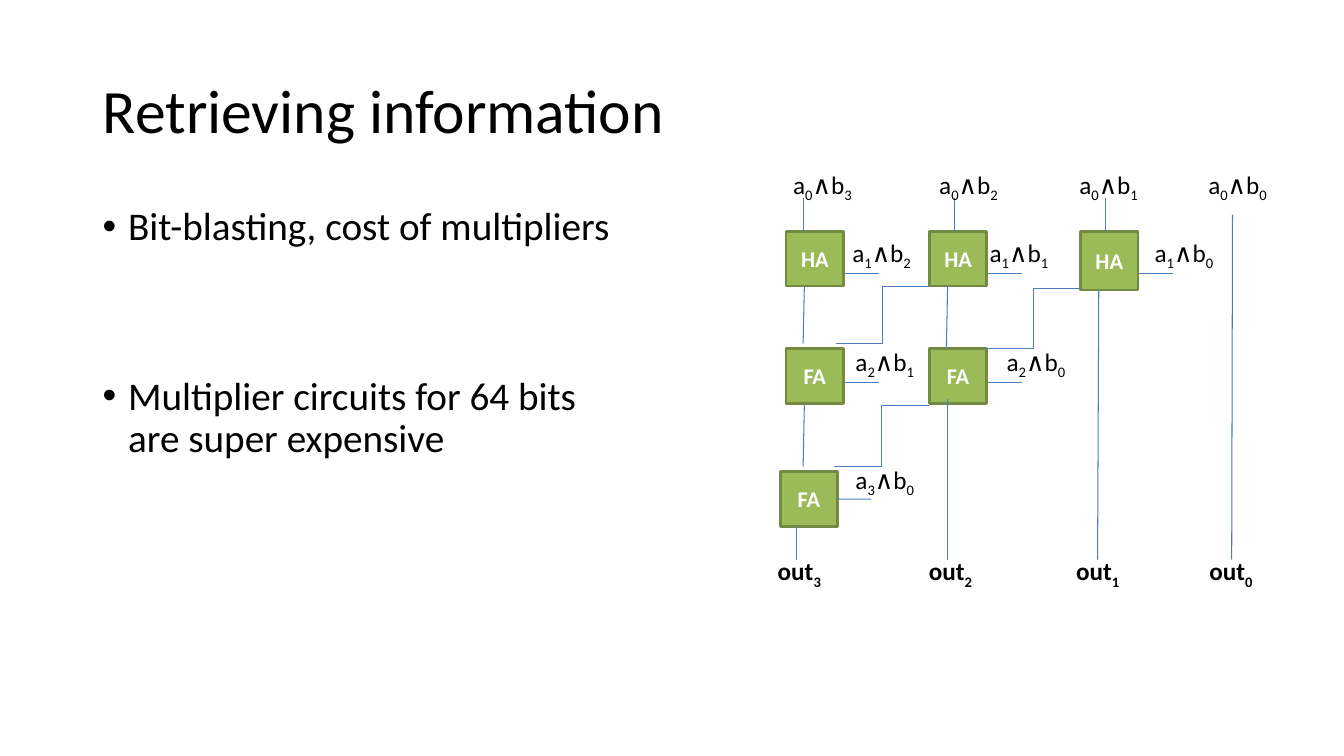
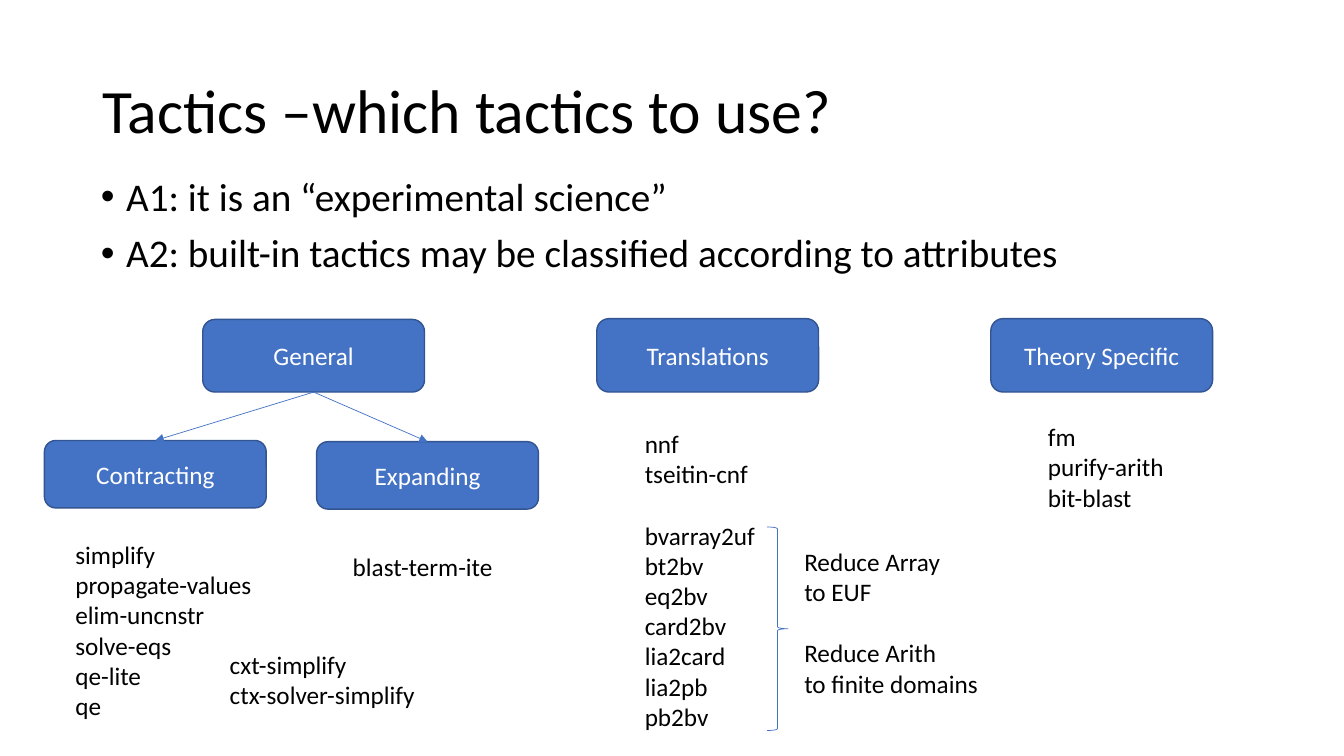
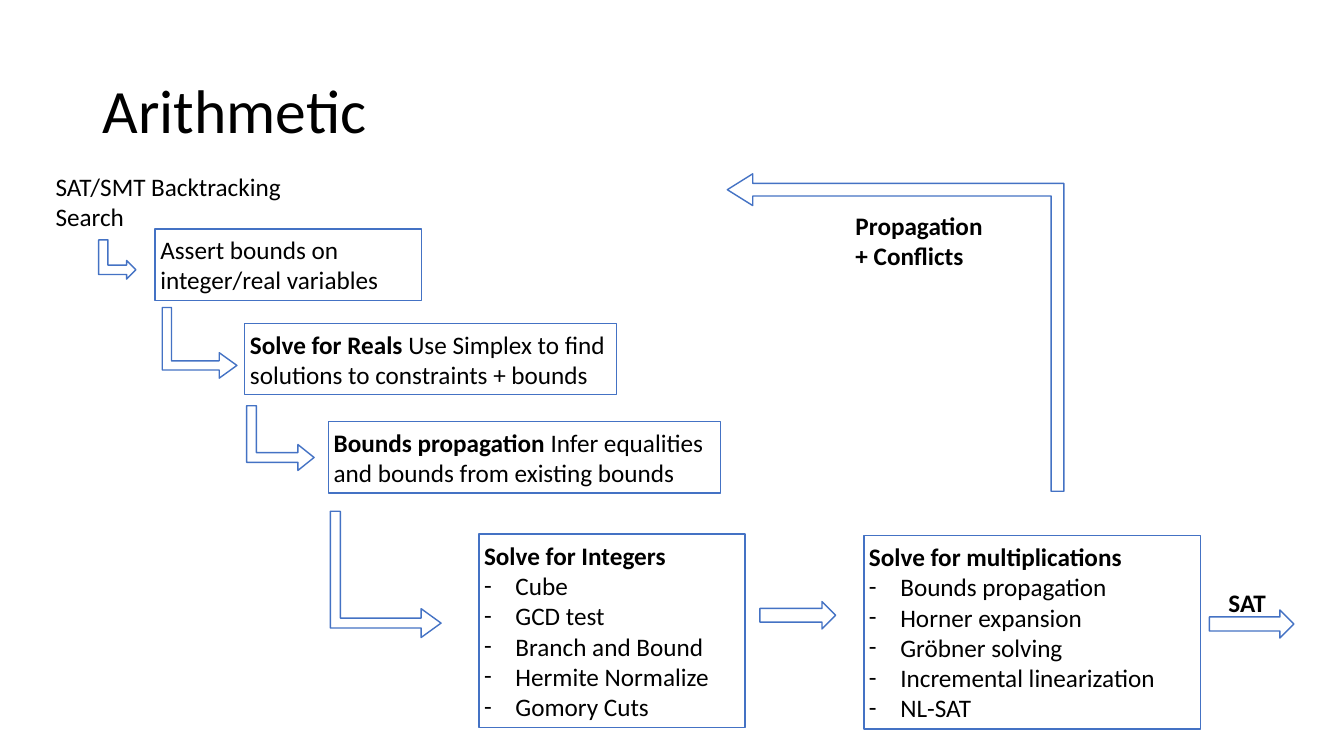
from dataclasses import dataclass
from typing import NamedTuple

from lxml.etree import SubElement
from pptx import Presentation
from pptx.dml.color import RGBColor as Rgb
from pptx.enum.shapes import MSO_CONNECTOR as Link
from pptx.enum.shapes import MSO_SHAPE as Preset
from pptx.enum.text import MSO_ANCHOR as Anchor
from pptx.enum.text import MSO_AUTO_SIZE as AutoSize
from pptx.enum.text import PP_ALIGN as Align
from pptx.oxml.ns import qn
from pptx.util import Cm, Pt


@dataclass(frozen=True)
class Theme:
    font: str = "Calibri"
    bullet_font: str = "Arial"
    black: str = "000000"
    white: str = "FFFFFF"
    blue: str = "4472C4"
    dark_blue: str = "325491"
    green: str = "9BBB59"
    dark_green: str = "738A42"
    wire: str = "4B7EBC"
    title_size: float = 44
    body_size: float = 28
    text_size: float = 18
    cell_size: float = 16
    body_spacing: float = 0.9


THEME = Theme()


class Area(NamedTuple):
    left: float
    top: float
    width: float
    height: float

    def lengths(self) -> tuple:
        return tuple(Cm(value) for value in self)


class Point(NamedTuple):
    x: float
    y: float


class Span(NamedTuple):
    text: str
    bold: bool = False
    lowered: bool = False


@dataclass(frozen=True)
class Line:
    spans: tuple
    bullet: str = ""
    indent: float = 0
    before: float = 0


@dataclass(frozen=True)
class Style:
    size: float = THEME.text_size
    color: str = THEME.black
    align: Align = Align.LEFT
    anchor: Anchor = Anchor.TOP
    spacing: float = 1
    inset: float = 0.25
    wrap: bool = True
    grow: bool = False


@dataclass(frozen=True)
class Look:
    fill: str
    line: str
    weight: float


@dataclass(frozen=True)
class Arrow:
    area: Area
    preset: Preset = Preset.BENT_UP_ARROW
    turn: float = 90
    bends: tuple = ()


TITLE = Style(THEME.title_size, anchor=Anchor.MIDDLE, spacing=THEME.body_spacing)
BODY = Style(THEME.body_size, spacing=THEME.body_spacing)
NOTE = Style(grow=True)
LABEL = Style(grow=True, wrap=False)
CAPTION = Style(grow=True, wrap=False, inset=0.13)
STEP = Style(anchor=Anchor.MIDDLE, inset=0.13)
NODE = Style(color=THEME.white, align=Align.CENTER, anchor=Anchor.MIDDLE)
CELL = Style(THEME.cell_size, THEME.white, Align.CENTER, Anchor.MIDDLE)
GREEN_CELL = Look(THEME.green, THEME.dark_green, 2)
BLUE_NODE = Look(THEME.blue, THEME.dark_blue, 1)
OUTLINE = Look(THEME.white, THEME.blue, 1)
BRACE = Look("", THEME.blue, 0.5)


def plain(*texts: str, bold: bool = False) -> list:
    return [Line((Span(text, bold),)) for text in texts]


def bullet(text: str, before: float = 0) -> Line:
    return Line((Span(text),), "•", 0.64, before)


def dash(text: str) -> Line:
    return Line((Span(text),), "-", 0.79)


def write(box, lines: list, style: Style) -> None:
    frame = box.text_frame
    frame.word_wrap = style.wrap
    frame.auto_size = AutoSize.SHAPE_TO_FIT_TEXT if style.grow else AutoSize.NONE
    frame.vertical_anchor = style.anchor
    frame.margin_left = frame.margin_right = Cm(style.inset)
    frame.margin_top = frame.margin_bottom = Cm(0.13)
    for index, line in enumerate(lines):
        para = frame.add_paragraph() if index else frame.paragraphs[0]
        para.alignment = style.align
        if line.bullet:
            properties = para._p.get_or_add_pPr()
            properties.set("marL", str(Cm(line.indent)))
            properties.set("indent", str(-Cm(line.indent)))
            face = THEME.bullet_font if line.bullet == "•" else THEME.font
            SubElement(properties, qn("a:buFont")).set("typeface", face)
            SubElement(properties, qn("a:buChar")).set("char", line.bullet)
        para.line_spacing = style.spacing
        if line.before:
            para.space_before = Pt(line.before)
        para.text = line.spans[0].text
        for span in line.spans[1:]:
            para.add_run().text = span.text
        if len(line.spans) == 1:
            pairs = [(run, line.spans[0]) for run in para.runs]
        else:
            pairs = zip(para.runs, line.spans)
        for run, span in pairs:
            run.font.name = THEME.font
            run.font.size = Pt(style.size)
            run.font.bold = span.bold
            run.font.color.rgb = Rgb.from_string(style.color)
            if span.lowered:
                run._r.get_or_add_rPr().set("baseline", "-25000")


def add_text(page, area: Area, lines: list, style: Style) -> None:
    write(page.shapes.add_textbox(*area.lengths()), lines, style)


def add_figure(page, preset: Preset, area: Area, look: Look):
    shape = page.shapes.add_shape(preset, *area.lengths())
    shape.shadow.inherit = False
    if look.fill:
        shape.fill.solid()
        shape.fill.fore_color.rgb = Rgb.from_string(look.fill)
    else:
        shape.fill.background()
    shape.line.color.rgb = Rgb.from_string(look.line)
    shape.line.width = Pt(look.weight)
    return shape


def add_wire(page, start: Point, end: Point, kind: Link = Link.STRAIGHT,
             color: str = THEME.wire, weight: float = 0.75):
    wire = page.shapes.add_connector(kind, *(Cm(value) for value in start + end))
    wire.line.color.rgb = Rgb.from_string(color)
    wire.line.width = Pt(weight)
    SubElement(wire._element.spPr, qn("a:effectLst"))
    return wire


def add_page(deck, title: str):
    page = deck.slides.add_slide(deck.slide_layouts[6])
    add_text(page, Area(2.34, 1.02, 29.21, 3.68), plain(title), TITLE)
    return page


def product(first: int, second: int) -> list:
    return [Line((Span("a"), Span(str(first), lowered=True),
                  Span("∧b"), Span(str(second), lowered=True)))]


def build_multiplier(deck) -> None:
    page = add_page(deck, "Retrieving information")
    add_text(page, Area(2.34, 5.08, 29.21, 12.09), [
        bullet("Bit-blasting, cost of multipliers"),
        bullet("Multiplier circuits for 64 bits \vare super expensive", 91),
    ], BODY)

    half_top, full_top, last_top, out_top = 5.84, 8.79, 11.89, 14.1
    for name, left, top, height in (
        ("HA", 19.81, half_top, 1.37), ("HA", 23.42, half_top, 1.37),
        ("HA", 27.23, half_top, 1.47), ("FA", 19.81, full_top, 1.37),
        ("FA", 23.42, full_top, 1.37), ("FA", 19.66, last_top, 1.37),
    ):
        cell = add_figure(page, Preset.RECTANGLE, Area(left, top, 1.45, height), GREEN_CELL)
        write(cell, plain(name, bold=True), CELL)
    last_cell = cell

    for x in (20.24, 24.05, 27.86):
        add_wire(page, Point(x, 4.98), Point(x, half_top))
    for x, y in ((29.57, 6.88), (25.76, 6.88), (22.15, 6.88), (25.76, 9.65), (22.15, 9.65)):
        add_wire(page, Point(x, y), Point(x - 0.86, y))
    add_wire(page, Point(21.95, 12.58), Point(21.11, 12.58)).end_connect(last_cell, 3)
    for start, end in (
        (Point(27.69, 7.32), Point(27.66, out_top)),
        (Point(23.88, 7.21), Point(23.85, full_top)),
        (Point(20.27, 7.21), Point(20.24, 8.66)),
        (Point(31.06, 5.41), Point(31.04, out_top)),
        (Point(20.27, 10.21), Point(20.24, 11.76)),
        (Point(23.88, 10.06), Point(23.88, out_top)),
        (Point(20.07, 13.23), Point(20.07, out_top)),
    ):
        add_wire(page, start, end)
    for start, end in (
        (Point(27.23, 7.26), Point(24.84, 8.79)),
        (Point(23.42, 7.21), Point(21.08, 8.66)),
        (Point(23.42, 10.21), Point(21.03, 11.76)),
    ):
        add_wire(page, start, end, Link.ELBOW)

    product_rows = (
        (4.14, (30.2, 26.95, 23.42, 19.74)),
        (5.84, (28.85, 24.69, 21.23)),
        (8.59, (25.12, 21.31)),
        (11.56, (21.31,)),
    )
    for first, (top, lefts) in enumerate(product_rows):
        for second, left in enumerate(lefts):
            add_text(page, Area(left, top, 1.98, 1.02), product(first, second), LABEL)
    for bit, left in enumerate((30.23, 26.87, 23.16, 19.35)):
        output = Line((Span("out", True), Span(str(bit), True, True)))
        add_text(page, Area(left, 13.87, 1.78, 1.02), [output], LABEL)


def build_tactics(deck) -> None:
    page = add_page(deck, "Tactics –which tactics to use?")
    add_text(page, Area(2.29, 4.34, 29.21, 3.68), [
        bullet("A1: it is an “experimental science”"),
        bullet("A2: built-in tactics may be classified according to attributes", 10),
    ], BODY)

    nodes = {}
    for name, left, top, height in (
        ("General", 5.11, 8.05, 1.83), ("Translations", 15.04, 8.03, 1.85),
        ("Theory Specific", 24.97, 8.03, 1.85), ("Contracting", 1.12, 11.1, 1.7),
        ("Expanding", 7.98, 11.13, 1.7),
    ):
        node = add_figure(page, Preset.ROUNDED_RECTANGLE, Area(left, top, 5.59, height), BLUE_NODE)
        write(node, plain(name), NODE)
        nodes[name] = node
    for name in ("Contracting", "Expanding"):
        arrow = add_wire(page, Point(0, 0), Point(1, 1), color=THEME.blue, weight=0.5)
        arrow.begin_connect(nodes["General"], 2)
        arrow.end_connect(nodes[name], 0)
        outline = arrow._element.spPr.find(qn("a:ln"))
        SubElement(outline, qn("a:tailEnd")).set("type", "triangle")

    add_figure(page, Preset.RIGHT_BRACE, Area(19.33, 13.28, 0.53, 5.13), BRACE)
    blank_line = 22
    for area, lines, style in (
        (Area(1.65, 13.46, 5.16, 4.88),
         plain("simplify", "propagate-values", "elim-uncnstr", "solve-eqs", "qe-lite", "qe"), LABEL),
        (Area(8.64, 13.77, 4.09, 1.02), plain("blast-term-ite"), LABEL),
        (Area(5.54, 16.23, 5.87, 1.8), plain("cxt-simplify", "ctx-solver-simplify"), NOTE),
        (Area(16, 10.67, 3.3, 8),
         plain("nnf", "tseitin-cnf")
         + [Line((Span("bvarray2uf"),), before=blank_line)]
         + plain("bt2bv", "eq2bv", "card2bv", "lia2card", "lia2pb", "pb2bv"), LABEL),
        (Area(26.16, 10.49, 3.48, 2.57), plain("fm", "purify-arith", "bit-blast"), LABEL),
        (Area(20.02, 13.64, 4.93, 4.11),
         plain("Reduce Array \vto EUF")
         + [Line((Span("Reduce Arith \vto finite domains"),), before=blank_line)], LABEL),
    ):
        add_text(page, area, lines, style)


def build_arithmetic(deck) -> None:
    page = add_page(deck, "Arithmetic")
    integer_methods = ("Cube", "GCD test", "Branch and Bound", "Hermite Normalize", "Gomory Cuts")
    product_methods = ("Bounds propagation", "Horner expansion", "Gröbner solving",
                       "Incremental linearization", "NL-SAT")
    for area, lines in (
        (Area(3.91, 5.77, 6.71, 1.8), plain("Assert bounds on integer/real variables")),
        (Area(6.17, 8.15, 9.37, 1.8),
         [Line((Span("Solve for Reals", True),
                Span(" Use Simplex to find solutions to constraints + bounds")))]),
        (Area(8.28, 10.62, 9.88, 1.8),
         [Line((Span("Bounds propagation", True),
                Span(" Infer equalities and bounds from existing bounds")))]),
        (Area(12.07, 13.46, 6.71, 4.88),
         plain("Solve for Integers", bold=True) + [dash(name) for name in integer_methods]),
        (Area(21.77, 13.49, 8.48, 4.88),
         plain("Solve for multiplications", bold=True) + [dash(name) for name in product_methods]),
    ):
        write(add_figure(page, Preset.RECTANGLE, area, OUTLINE), lines, STEP)

    for arrow in (
        Arrow(Area(2.46, 6.07, 0.99, 0.94)),
        Arrow(Area(4.14, 7.7, 1.78, 1.88), bends=(0.13, 0.18, 0.25)),
        Arrow(Area(6.25, 10.19, 1.63, 1.7), bends=(0.15, 0.2, 0.25)),
        Arrow(Area(8.13, 13.08, 3.18, 2.79), bends=(0.09, 0.13, 0.18)),
        Arrow(Area(18.57, 4.14, 8, 8.48), turn=270, bends=(0.04, 0.05, 0.08)),
        Arrow(Area(19.15, 15.16, 1.91, 0.69), Preset.RIGHT_ARROW, 0),
        Arrow(Area(30.48, 15.37, 2.13, 0.71), Preset.RIGHT_ARROW, 0),
    ):
        shape = add_figure(page, arrow.preset, arrow.area, OUTLINE)
        shape.rotation = arrow.turn
        for index, bend in enumerate(arrow.bends):
            shape.adjustments[index] = bend

    add_text(page, Area(1.27, 4.19, 6.1, 1.8), plain("SAT/SMT Backtracking", "Search"), CAPTION)
    add_text(page, Area(21.31, 5.16, 5.23, 1.8),
             plain("Propagation", "+ Conflicts", bold=True), NOTE)
    add_text(page, Area(30.71, 14.66, 2.13, 1.02), plain("SAT", bold=True), NOTE)


def main() -> None:
    deck = Presentation()
    deck.slide_width, deck.slide_height = Cm(33.87), Cm(19.05)
    build_multiplier(deck)
    build_tactics(deck)
    build_arithmetic(deck)
    deck.save("out.pptx")


if __name__ == "__main__":
    main()
